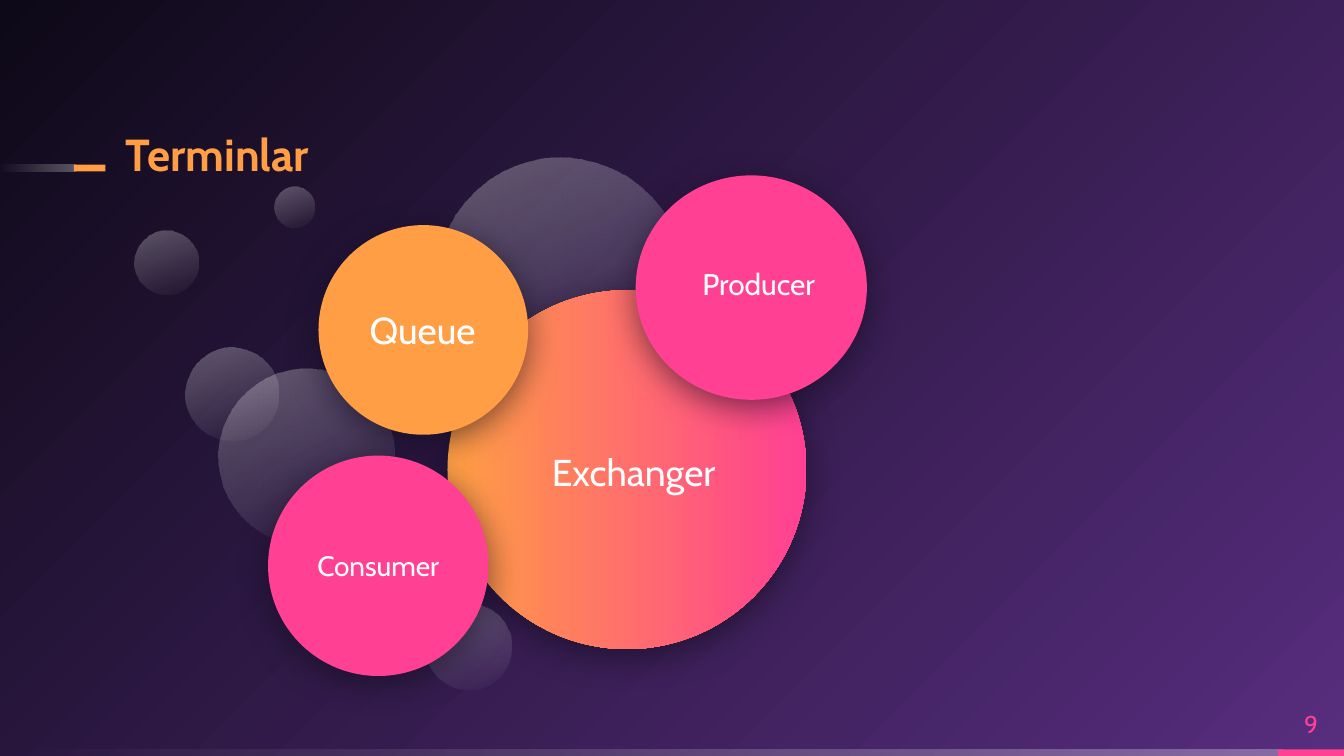
from dataclasses import dataclass

import pptx
import pptx.dml.color
import pptx.enum.shapes
import pptx.enum.text
import pptx.oxml
import pptx.oxml.ns
import pptx.util

COLORS = {"night": "0E0918", "violet": "572D7E", "pink": "FF4093",
          "orange": "FF9E44", "white": "FFFFFF"}
FONT = "Cabin"
SLIDE_W = pptx.util.Inches(10)
SLIDE_H = SLIDE_W * 9 // 16
OVAL = pptx.enum.shapes.MSO_SHAPE.OVAL
RECT = pptx.enum.shapes.MSO_SHAPE.RECTANGLE
ALIGN = pptx.enum.text.PP_ALIGN
ANCHOR = pptx.enum.text.MSO_ANCHOR


@dataclass(frozen=True)
class Box:
    """A frame in percent of the slide's width, on both axes."""
    left: float
    top: float
    width: float
    height: float

    def emu(self) -> list[int]:
        return [round(SLIDE_W * share / 100)
                for share in (self.left, self.top, self.width, self.height)]


@dataclass(frozen=True)
class Gradient:
    start: str
    end: str
    alphas: tuple[int, int] = (100, 100)
    angle: int | None = 0  # None: radial, centred on the bottom right corner


@dataclass(frozen=True)
class Term:
    name: str
    circle: Box
    label: Box
    size: int
    fill: str | Gradient


FADE = Gradient("white", "white", (30, 0), 180)
BACKDROP = Gradient("violet", "night", angle=None)

BARS = [
    (Box(0, 55.75, 95.4, 0.5), FADE),
    (Box(95.1, 55.75, 4.9, 0.5), "pink"),
    (Box(0, 12.25, 5.6, 0.5), FADE),
    (Box(5.5, 12.25, 2.35, 0.5), "orange"),
]
# left, top, diameter
BUBBLES = [(31.65, 44.9, 6.4), (10, 17.15, 4.8), (16.25, 27.4, 13.1),
           (32.5, 11.7, 18.4), (13.8, 25.9, 6.9), (20.4, 13.9, 3)]
TERMS = [
    Term("Exchanger", Box(33.3, 21.6, 26.7, 26.7), Box(36.95, 28.75, 20.4, 12.7),
         20, Gradient("orange", "pink")),
    Term("Queue", Box(23.7, 16.75, 15.6, 15.6), Box(26.15, 19.4, 10.6, 10.3), 20, "orange"),
    Term("Consumer", Box(19.95, 33.9, 16.4, 16.4), Box(22.3, 36.9, 11.7, 10.3), 15, "pink"),
    Term("Producer", Box(47.3, 13.05, 17.2, 16.7), Box(50.85, 16.65, 11.2, 8.9), 16, "pink"),
]


def rgb(color: str):
    return pptx.dml.color.RGBColor.from_string(COLORS[color])


def color_xml(color: str, alpha: int) -> str:
    return f'<a:srgbClr val="{COLORS[color]}"><a:alpha val="{alpha * 1000}"/></a:srgbClr>'


def apply_gradient(parent, gradient: Gradient) -> None:
    """Put a gradient in the place of the parent's solid fill."""
    stops = "".join(
        f'<a:gs pos="{pos}">{color_xml(color, alpha)}</a:gs>'
        for pos, color, alpha in zip((0, 100000), (gradient.start, gradient.end),
                                     gradient.alphas))
    if gradient.angle is None:
        course = ('<a:path path="circle"><a:fillToRect l="100000" t="100000"/></a:path>'
                  '<a:tileRect r="-100000" b="-100000"/>')
    else:
        course = f'<a:lin ang="{gradient.angle * 60000}" scaled="0"/>'
    solid = parent.find(pptx.oxml.ns.qn("a:solidFill"))
    parent.replace(solid, pptx.oxml.parse_xml(
        f'<a:gradFill {pptx.oxml.ns.nsdecls("a")} rotWithShape="1">'
        f'<a:gsLst>{stops}</a:gsLst>{course}</a:gradFill>'))


def add_shape(slide, kind, box: Box, fill: str | Gradient, rotation: int = 0):
    shape = slide.shapes.add_shape(kind, *box.emu())
    shape.rotation = rotation
    shape.shadow.inherit = False
    shape.line.fill.background()
    shape.fill.solid()
    if isinstance(fill, Gradient):
        apply_gradient(shape.element.spPr, fill)
    else:
        shape.fill.fore_color.rgb = rgb(fill)
    return shape


def add_shadow(shape) -> None:
    effects = shape.element.spPr.find(pptx.oxml.ns.qn("a:effectLst"))
    effects.append(pptx.oxml.parse_xml(
        f'<a:outerShdw {pptx.oxml.ns.nsdecls("a")} blurRad="{pptx.util.Pt(18)}" '
        f'dist="{pptx.util.Pt(4)}" dir="{90 * 60000}" algn="bl" rotWithShape="0">'
        f'{color_xml("night", 55)}</a:outerShdw>'))


def write(shape, text: str, size: int, color: str, align=ALIGN.CENTER,
          anchor=ANCHOR.MIDDLE, inset: float = 0, bold: bool = False) -> None:
    frame = shape.text_frame
    frame.text = text
    frame.word_wrap = True
    frame.auto_size = pptx.enum.text.MSO_AUTO_SIZE.NONE
    frame.vertical_anchor = anchor
    frame.margin_left = frame.margin_right = pptx.util.Inches(inset)
    frame.margin_top = frame.margin_bottom = pptx.util.Inches(inset)
    paragraph = frame.paragraphs[0]
    paragraph.alignment = align
    font = paragraph.runs[0].font
    font.name, font.size, font.bold = FONT, pptx.util.Pt(size), bold
    font.color.rgb = rgb(color)


def add_term(slide, term: Term) -> None:
    add_shadow(add_shape(slide, OVAL, term.circle, term.fill))
    label = slide.shapes.add_textbox(*term.label.emu())
    write(label, term.name, term.size, "white", inset=0.1)


def main() -> None:
    deck = pptx.Presentation()
    deck.slide_width, deck.slide_height = SLIDE_W, SLIDE_H
    slide = deck.slides.add_slide(deck.slide_layouts.get_by_name("Title Only"))

    # Background
    slide.background.fill.solid()
    apply_gradient(next(slide.element.iter(pptx.oxml.ns.qn("p:bgPr"))), BACKDROP)

    # Accent bars and page number
    for box, fill in BARS:
        add_shape(slide, RECT, box, fill)
    page_number = slide.shapes.add_textbox(*Box(95.1, 51.95, 4.9, 3.8).emu())
    write(page_number, "9", 13, "pink")

    # Translucent bubbles behind the terms
    for left, top, diameter in BUBBLES:
        add_shape(slide, OVAL, Box(left, top, diameter, diameter), FADE, rotation=250)

    # Terms
    for term in TERMS:
        add_term(slide, term)

    # Title
    title = slide.shapes.title
    title.left, title.top, title.width, title.height = Box(9.35, 9.15, 58, 4.3).emu()
    write(title, "Terminlar", 24, "orange", ALIGN.LEFT, ANCHOR.BOTTOM, bold=True)
    title.text_frame.paragraphs[0].line_spacing = 0.9

    deck.save("out.pptx")


if __name__ == "__main__":
    main()
